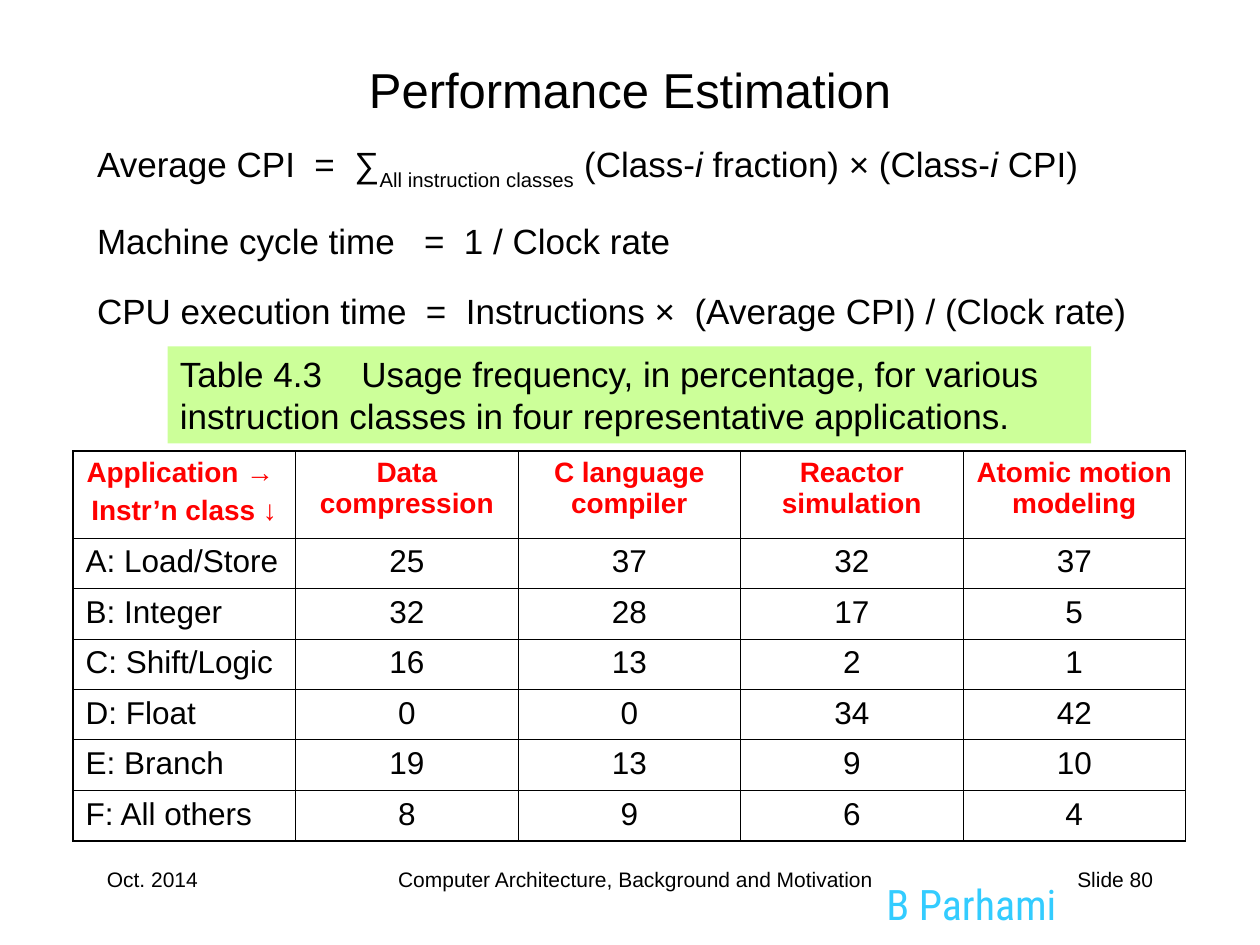
from dataclasses import dataclass
from typing import NamedTuple

from lxml.etree import SubElement
from pptx import Presentation
from pptx.dml.color import RGBColor
from pptx.enum.shapes import MSO_SHAPE as Shape
from pptx.enum.text import MSO_ANCHOR as Anchor, MSO_AUTO_SIZE as AutoSize, PP_ALIGN as Align
from pptx.oxml.ns import qn
from pptx.util import Inches, Pt


@dataclass(frozen=True)
class Theme:
    """Colours, fonts, type sizes and line widths of the page."""
    ink: str = "000000"
    heading: str = "FF0000"
    author: str = "33CCFF"
    caption: str = "CCFF99"
    font: str = "Arial"
    author_font: str = "Roboto Condensed"
    title_size: float = 28
    body_size: float = 20
    cell_size: float = 18
    heading_size: float = 16
    footer_size: float = 12
    author_size: float = 24
    outer_line: float = 1.08
    inner_line: float = 0.45


class Area(NamedTuple):
    """A place on the page in inches."""
    left: float
    top: float
    width: float
    height: float


class Span(NamedTuple):
    """A piece of a formula with its own style."""
    text: str
    italic: bool = False
    subscript: bool = False


class Label(NamedTuple):
    """A line of text in the footer."""
    text: str
    area: Area
    align: Align = Align.LEFT
    font: str = Theme.font
    size: float = Theme.footer_size
    color: str = Theme.ink


THEME = Theme()
CLASS_I = Span("i", italic=True)
FORMULAS = [
    [Span("Average CPI  =  ∑"), Span("All instruction classes", subscript=True),
     Span(" (Class-"), CLASS_I, Span(" fraction) × (Class-"), CLASS_I, Span(" CPI)")],
    [Span("Machine cycle time   =  1 / Clock rate")],
    [Span("CPU execution time  =  Instructions ×  (Average CPI) / (Clock rate)")],
]
CAPTION = ("Table 4.3\tUsage frequency, in percentage, for various "
           "instruction classes in four representative applications.")
HEADINGS = [["Application → ", "Instr’n class ↓"], ["Data compression"],
            ["C language compiler"], ["Reactor simulation"], ["Atomic motion modeling"]]
USAGE = {
    "A: Load/Store": (25, 37, 32, 37),
    "B: Integer": (32, 28, 17, 5),
    "C: Shift/Logic": (16, 13, 2, 1),
    "D: Float": (0, 0, 34, 42),
    "E: Branch": (19, 13, 9, 10),
    "F: All others": (8, 9, 6, 4),
}
LABELS = [
    Label("B Parhami", Area(6.86, 6.92, 1.7, 0.5), Align.CENTER,
          THEME.author_font, THEME.author_size, THEME.author),
    Label("Oct. 2014", Area(0.75, 6.83, 2.08, 0.5)),
    Label("Computer Architecture, Background and Motivation",
          Area(2.42, 6.83, 5.25, 0.5), Align.CENTER),
    Label("Slide 80", Area(7.17, 6.83, 2.08, 0.5), Align.RIGHT),
]


def emu(area: Area) -> list:
    """Return the area as lengths."""
    return [Inches(value) for value in area]


def place(box, area: Area) -> None:
    """Move and resize a placeholder."""
    box.left, box.top, box.width, box.height = emu(area)


def write(para, text: str, *, size: float, color: str = THEME.ink, font: str = THEME.font,
          bold: bool = False, italic: bool = False, subscript: bool = False) -> None:
    """Add formatted text to a paragraph."""
    span = para.add_run()
    span.text = text
    style = span.font
    style.name, style.size = font, Pt(size)
    style.bold, style.italic = bold, italic
    style.color.rgb = RGBColor.from_string(color)
    if subscript:
        style._element.set("baseline", "-30000")


def next_para(frame, index: int):
    """Return the first paragraph or a new one."""
    return frame.add_paragraph() if index else frame.paragraphs[0]


def draw_label(page, label: Label) -> None:
    """Draw one footer label."""
    frame = page.shapes.add_textbox(*emu(label.area)).text_frame
    frame.word_wrap = True
    para = frame.paragraphs[0]
    para.alignment = label.align
    write(para, label.text, size=label.size, color=label.color, font=label.font)


def draw_title(page) -> None:
    """Fill the title placeholder."""
    title = page.shapes.title
    place(title, Area(0.75, 0.33, 8.5, 0.75))
    title.text_frame.vertical_anchor = Anchor.MIDDLE
    para = title.text_frame.paragraphs[0]
    para.alignment = Align.CENTER
    write(para, "Performance Estimation", size=THEME.title_size)


def draw_formulas(page) -> None:
    """Fill the body placeholder with the formulas."""
    body = page.placeholders[1]
    place(body, Area(0.67, 1.08, 8.67, 1.97))
    frame = body.text_frame
    frame.auto_size = AutoSize.NONE
    for index, formula in enumerate(FORMULAS):
        para = next_para(frame, index)
        para.space_before, para.space_after = Pt(0), Pt(15.8)
        properties = para._p.get_or_add_pPr()
        properties.set("marL", "0")
        properties.set("indent", "0")
        SubElement(properties, qn("a:buNone"))
        for span in formula:
            write(para, span.text, size=THEME.body_size,
                  italic=span.italic, subscript=span.subscript)


def draw_caption(page) -> None:
    """Draw the table caption on its coloured band."""
    box = page.shapes.add_shape(Shape.RECTANGLE, *emu(Area(1.33, 2.75, 7.33, 0.77)))
    box.shadow.inherit = False
    box.fill.solid()
    box.fill.fore_color.rgb = RGBColor.from_string(THEME.caption)
    box.line.fill.background()
    frame = box.text_frame
    frame.word_wrap = True
    frame.vertical_anchor = Anchor.TOP
    para = frame.paragraphs[0]
    para.alignment = Align.LEFT
    tabs = SubElement(para._p.get_or_add_pPr(), qn("a:tabLst"))
    SubElement(tabs, qn("a:tab"), pos=str(Inches(1.44)), algn="l")
    write(para, CAPTION, size=THEME.body_size)


def add_borders(cell, outer: dict[str, bool]) -> None:
    """Rule the sides of a cell, heavier on the outer edge."""
    properties = cell._tc.get_or_add_tcPr()
    for side, is_outer in outer.items():
        width = THEME.outer_line if is_outer else THEME.inner_line
        line = SubElement(properties, qn(f"a:ln{side}"), w=str(Pt(width)))
        fill = SubElement(line, qn("a:solidFill"))
        SubElement(fill, qn("a:srgbClr"), val=THEME.ink)


def draw_table(page) -> None:
    """Draw the usage table."""
    rows = HEADINGS, *([[name], *([str(value)] for value in values)]
                       for name, values in USAGE.items())
    last_row, last_column = len(rows) - 1, len(HEADINGS) - 1
    area = Area(0.58, 3.58, 8.83, 3.09)
    table = page.shapes.add_table(len(rows), len(HEADINGS), *emu(area)).table
    table.first_row = table.horz_banding = False
    for column in table.columns:
        column.width = Inches(area.width / len(HEADINGS))
    for r, texts in enumerate(rows):
        table.rows[r].height = Inches(0.4 if r else 0.69)
        style = (dict(size=THEME.cell_size) if r else
                 dict(size=THEME.heading_size, color=THEME.heading, bold=True))
        for c, lines in enumerate(texts):
            cell = table.cell(r, c)
            add_borders(cell, {"L": c == 0, "R": c == last_column,
                               "T": r == 0, "B": r == last_row})
            cell.fill.background()
            for index, text in enumerate(lines):
                para = next_para(cell.text_frame, index)
                para.alignment = Align.LEFT if r and not c else Align.CENTER
                para.space_before = Pt(4 if index else 0)
                write(para, text, **style)


def main() -> None:
    """Build and save the deck."""
    deck = Presentation()
    deck.slide_width, deck.slide_height = Inches(10), Inches(7.5)
    page = deck.slides.add_slide(deck.slide_layouts[1])
    for label in LABELS:
        draw_label(page, label)
    draw_title(page)
    draw_formulas(page)
    draw_caption(page)
    draw_table(page)
    deck.save("out.pptx")


if __name__ == "__main__":
    main()
